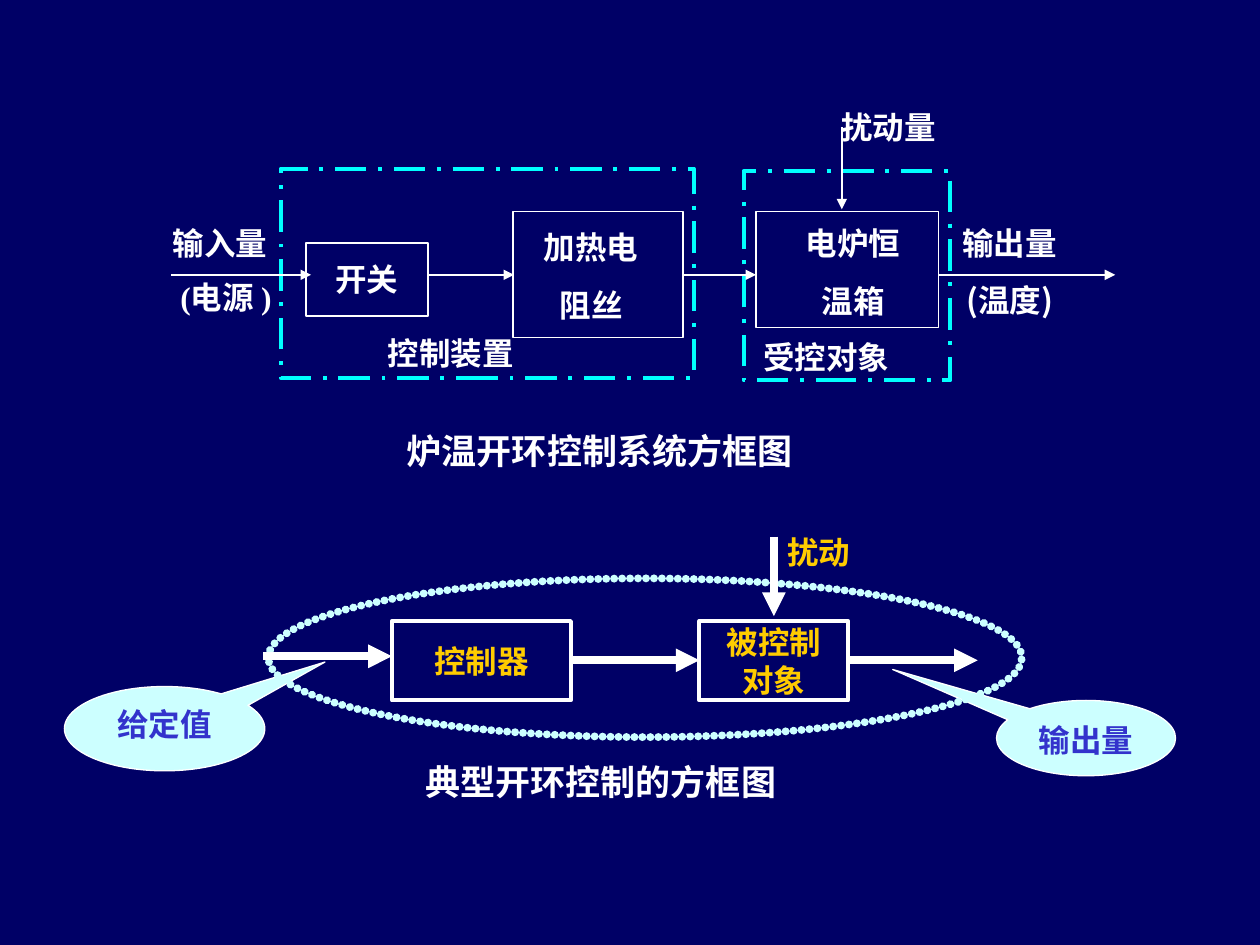
from dataclasses import dataclass
from typing import Optional

from lxml import etree
from pptx import Presentation
from pptx import util as u
from pptx.dml.color import RGBColor
from pptx.enum import dml, shapes, text
from pptx.oxml.ns import qn

SERIF, SANS, CJK = "Times New Roman", "Arial", "Noto Sans CJK SC"
WHITE, GOLD, BLUE, PALE, CYAN = "FFFFFF", "FFCC00", "3333CC", "CCFFFF", "00FFFF"
CENTER, JUSTIFY, LEFT = text.PP_ALIGN.CENTER, text.PP_ALIGN.JUSTIFY, text.PP_ALIGN.LEFT
TOP, MIDDLE = text.MSO_ANCHOR.TOP, text.MSO_ANCHOR.MIDDLE
SHAPE = shapes.MSO_SHAPE
INSETS = (0.25, 0.13)


@dataclass
class Area:
    """Left, top, width and height in centimetres."""
    left: float
    top: float
    width: float
    height: float

    def lengths(self) -> list:
        return [u.Cm(v) for v in (self.left, self.top, self.width, self.height)]


@dataclass
class Style:
    font: str = SERIF
    color: str = WHITE
    size: float = 18
    align: int = JUSTIFY
    spacing: float = 1.0
    before: float = 0
    anchor: int = TOP
    wrap: bool = True
    insets: tuple = INSETS


@dataclass
class Label:
    area: Area
    words: str
    style: Style


@dataclass
class Outline:
    kind: int
    area: Area
    line: str
    width: float
    fill: Optional[str] = None
    dash: Optional[int] = None
    tip: tuple = ()
    words: str = ""
    style: Optional[Style] = None


@dataclass
class Arrow:
    start: tuple
    end: tuple
    width: float


def color(value: str) -> RGBColor:
    return RGBColor.from_string(value)


def assign(target, values: dict) -> None:
    for name, value in values.items():
        setattr(target, name, value)


def write(frame, words: str, style: Style) -> None:
    side, edge = (u.Cm(v) for v in style.insets)
    assign(frame, dict(auto_size=text.MSO_AUTO_SIZE.NONE, word_wrap=style.wrap,
                       vertical_anchor=style.anchor, margin_left=side,
                       margin_right=side, margin_top=edge, margin_bottom=edge))
    for index, line in enumerate(words.split("\n")):
        para = frame.paragraphs[0] if index == 0 else frame.add_paragraph()
        assign(para, dict(alignment=style.align, line_spacing=style.spacing,
                          space_before=u.Pt(style.before)))
        span = para.add_run()
        span.text = line
        assign(span.font, dict(name=style.font, size=u.Pt(style.size), bold=True))
        span.font.color.rgb = color(style.color)
        east_asian = etree.SubElement(span.font._element, qn("a:ea"))
        east_asian.set("typeface", CJK)


def add_label(page, label: Label) -> None:
    box = page.shapes.add_textbox(*label.area.lengths())
    write(box.text_frame, label.words, label.style)


def add_outline(page, item: Outline):
    box = page.shapes.add_shape(item.kind, *item.area.lengths())
    box.shadow.inherit = False
    if item.fill:
        box.fill.solid()
        box.fill.fore_color.rgb = color(item.fill)
    else:
        box.fill.background()
    box.line.color.rgb = color(item.line)
    box.line.width = u.Pt(item.width)
    if item.dash:
        box.line.dash_style = item.dash
    for index, value in enumerate(item.tip):
        box.adjustments[index] = value
    if item.words:
        write(box.text_frame, item.words, item.style)
    return box


def add_arrow(page, arrow: Arrow) -> None:
    ends = [u.Cm(v) for v in arrow.start + arrow.end]
    line = page.shapes.add_connector(shapes.MSO_CONNECTOR.STRAIGHT, *ends)
    line.line.color.rgb = color(WHITE)
    line.line.width = u.Pt(arrow.width)
    etree.SubElement(line.line._get_or_add_ln(), qn("a:tailEnd"), type="triangle")
    etree.SubElement(line._element.spPr, qn("a:effectLst"))


def round_dots(box) -> None:
    """Turn the outline into touching round dots."""
    line = box.line._get_or_add_ln()
    line.set("cap", "rnd")
    dashes = etree.SubElement(line, qn("a:custDash"))
    etree.SubElement(dashes, qn("a:ds"), d="100000", sp="1000")


NOTE = Style(spacing=1.15)
STEP = Style(align=CENTER, before=11.2)
BLOCK = Style(SANS, GOLD, align=CENTER, anchor=MIDDLE, wrap=False)
BUBBLE = Style(SANS, BLUE, align=CENTER)

# Typical open-loop diagram
CALLOUTS = [
    Outline(SHAPE.OVAL_CALLOUT, Area(1.3, 13.84, 4.04, 1.7), WHITE, 0.75, PALE,
            tip=(0.8, -0.79), words="给定值", style=BUBBLE),
    Outline(SHAPE.OVAL_CALLOUT, Area(20.09, 14.12, 3.61, 1.52), WHITE, 0.75, PALE,
            tip=(-1.08, -0.91)),
]
LOOP = Outline(SHAPE.OVAL, Area(5.41, 11.66, 15.19, 3.2), PALE, 4.5)
BLOCKS = [Outline(SHAPE.RECTANGLE, Area(left, 12.52, width, 1.6), WHITE, 2.25,
                  words=words, style=BLOCK)
          for left, width, words in ((7.9, 3.61, "控制器"), (14.1, 3, "被控制\n对象"))]
TYPICAL_LABELS = [
    Label(Area(20.09, 14.4, 3.61, 1.02), "输出量", BUBBLE),
    Label(Area(8.33, 15.21, 7.87, 1.12), "典型开环控制的方框图",
          Style(CJK, size=20, align=LEFT)),
    Label(Area(15.09, 10.44, 2.84, 1.45), "扰动",
          Style(color=GOLD, align=CENTER, spacing=1.4, insets=(0, 0))),
]

# Furnace temperature diagram
FURNACE_LABELS = [
    Label(Area(19.15, 4.27, 3.53, 2.34), "输出量", NOTE),
    Label(Area(14.99, 6.58, 4.24, 2.16), " 受控对象", NOTE),
    Label(Area(7.57, 6.5, 5.69, 2.01), "控制装置", NOTE),
    Label(Area(3.23, 5.54, 3.76, 1.32), " (电源 )", Style(spacing=0.95)),
    Label(Area(3.23, 4.27, 4.29, 1.7), "输入量", NOTE),
    Label(Area(19.23, 5.54, 3.25, 1.63), "(温度)", Style(CJK)),
    Label(Area(16.71, 1.93, 3.43, 2.24), "扰动量", NOTE),
    Label(Area(5.92, 5.11, 2.95, 1.02), "开关", STEP),
    Label(Area(14.99, 4.39, 4.42, 2.18), "电炉恒\n温箱", STEP),
    Label(Area(9.83, 4.47, 4.17, 2.18), "加热电\n阻丝", STEP),
]
ZONES = [Outline(SHAPE.RECTANGLE, area, CYAN, 2.25, dash=dml.MSO_LINE.LONG_DASH_DOT)
         for area in (Area(5.66, 3.4, 8.33, 4.22), Area(14.99, 3.45, 4.17, 4.22))]
STEPS = [Outline(SHAPE.RECTANGLE, area, WHITE, 0.75)
         for area in (Area(10.34, 4.27, 3.43, 2.54), Area(6.17, 4.9, 2.46, 1.47),
                      Area(15.24, 4.27, 3.68, 2.34))]

# Signal arrows, as (from x, to x, y) rows plus the two disturbances
THICK = [(11.51, 14.1, 13.31), (17.09, 19.71, 13.31), (5.31, 7.9, 13.23)]
THIN = [(3.45, 6.27, 5.54), (8.61, 10.36, 5.54), (13.77, 15.24, 5.54),
        (18.92, 22.48, 5.54)]
ARROWS = [Arrow((x1, y), (x2, y), width)
          for rows, width in ((THICK, 4.5), (THIN, 1.5)) for x1, x2, y in rows]
ARROWS += [Arrow((15.6, 10.82), (15.6, 12.42), 4.5),
           Arrow((16.97, 2.57), (16.97, 4.22), 1.5)]


def main() -> None:
    deck = Presentation()
    deck.slide_width, deck.slide_height = u.Cm(25.4), u.Cm(19.05)
    page = deck.slides.add_slide(deck.slide_layouts[5])
    page.background.fill.solid()
    page.background.fill.fore_color.rgb = color("000066")

    # Title placeholder holds the caption of the furnace diagram
    title = page.shapes.title
    area = Area(4.09, 8.53, 16, 1.12).lengths()
    assign(title, dict(zip(("left", "top", "width", "height"), area)))
    write(title.text_frame, "炉温开环控制系统方框图", Style(size=20, align=CENTER, before=12.5))

    for callout in CALLOUTS:
        add_outline(page, callout)
    round_dots(add_outline(page, LOOP))
    for item in BLOCKS + ZONES + STEPS:
        add_outline(page, item)
    for arrow in ARROWS:
        add_arrow(page, arrow)
    for label in TYPICAL_LABELS + FURNACE_LABELS:
        add_label(page, label)

    deck.save("out.pptx")


if __name__ == "__main__":
    main()
